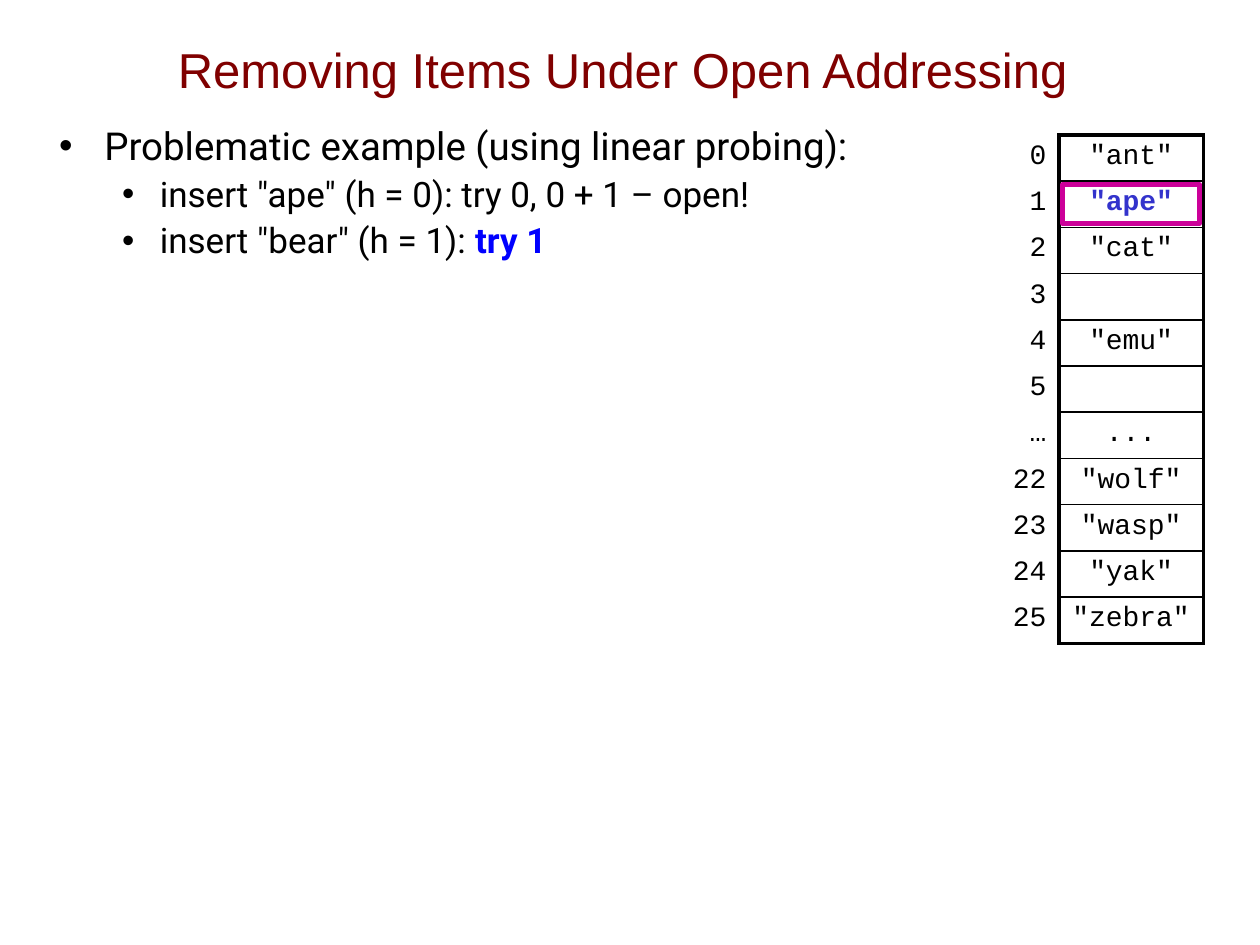
from lxml import etree
from pptx import Presentation
from pptx.dml.color import RGBColor
from pptx.enum.shapes import MSO_SHAPE
from pptx.enum.text import MSO_ANCHOR, PP_ALIGN
from pptx.oxml.ns import qn
from pptx.util import Inches, Pt

LEFT, CENTER, RIGHT = PP_ALIGN.LEFT, PP_ALIGN.CENTER, PP_ALIGN.RIGHT
MIDDLE = MSO_ANCHOR.MIDDLE
RECTANGLE = MSO_SHAPE.RECTANGLE
TITLE_ONLY = 5

COLORS = {
    "title": "800000",
    "text": "000000",
    "trial": "0000FF",
    "probed": "3333CC",
    "marker": "CC0099",
}
OUTER, INNER = 2.25, 1

STEPS = [
    (0, [("Problematic example (using linear probing):", False)]),
    (1, [('insert "ape" (h = 0): try 0, 0 + 1 – open!', False)]),
    (1, [('insert "bear" (h = 1): ', False), ("try 1", True)]),
]
SLOTS = [
    ("0", '"ant"'), ("1", '"ape"'), ("2", '"cat"'), ("3", ""),
    ("4", '"emu"'), ("5", ""), ("…", "..."), ("22", '"wolf"'),
    ("23", '"wasp"'), ("24", '"yak"'), ("25", '"zebra"'),
]
PROBED_ROW = 1


def add_span(para, text, font, size, color="text", bold=False):
    span = para.add_run()
    span.text = text
    span.font.name = font
    span.font.size = Pt(size)
    span.font.bold = bold
    span.font.color.rgb = RGBColor.from_string(COLORS[color])


def add_bullet(para, margin, hanging):
    """Give a paragraph a hanging bullet and the list's tab stops."""
    props = para._p.get_or_add_pPr()
    props.set("marL", str(Inches(margin)))
    props.set("indent", str(-Inches(hanging)))
    color = etree.SubElement(props, qn("a:buClr"))
    etree.SubElement(color, qn("a:srgbClr"), val=COLORS["text"])
    etree.SubElement(props, qn("a:buFont"), typeface="Arial")
    etree.SubElement(props, qn("a:buChar"), char="•")
    tabs = etree.SubElement(props, qn("a:tabLst"))
    for stop in (0.62, 0.87):
        etree.SubElement(tabs, qn("a:tab"), pos=str(Inches(stop)), algn="l")


def set_borders(cell, **widths):
    """Draw the named sides (L, R, T, B) in points and hide the others."""
    props = cell._tc.get_or_add_tcPr()
    for side in "LRTB":
        width = widths.get(side, 0)
        line = etree.SubElement(props, qn(f"a:ln{side}"), w=str(Pt(width)))
        if width:
            fill = etree.SubElement(line, qn("a:solidFill"))
            etree.SubElement(fill, qn("a:srgbClr"), val=COLORS["text"])
        else:
            etree.SubElement(line, qn("a:noFill"))


def fill_cell(cell, text, align, **style):
    cell.fill.background()
    para = cell.text_frame.paragraphs[0]
    para.alignment = align
    if text:
        add_span(para, text, "Courier New", 16, **style)
    else:
        para._p.get_or_add_endParaRPr().set("sz", "1600")


def add_title(page, left, top, width, height):
    title = page.shapes.title
    title.left, title.top = Inches(left), Inches(top)
    title.width, title.height = Inches(width), Inches(height)
    title.text_frame.vertical_anchor = MIDDLE
    para = title.text_frame.paragraphs[0]
    para.alignment = CENTER
    add_span(para, "Removing Items Under Open Addressing", "Arial", 28, "title")


def add_steps(page, left, top, width, height):
    box = page.shapes.add_textbox(
        Inches(left), Inches(top), Inches(width), Inches(height))
    frame = box.text_frame
    frame.word_wrap = True
    for index, (level, parts) in enumerate(STEPS):
        para = frame.add_paragraph() if index else frame.paragraphs[0]
        para.level = level
        para.alignment = LEFT
        if level:
            add_bullet(para, 0.8, 0.3)
            para.line_spacing = 0.9
            para.space_before = Pt(5)
        else:
            add_bullet(para, 0.36, 0.36)
        for text, trial in parts:
            add_span(para, text, "Roboto", 20 if level else 22,
                     color="trial" if trial else "text", bold=trial)


def add_hash_table(page, left, top, width, height):
    """Place the slot numbers and keys, and frame the probed slot."""
    last = len(SLOTS) - 1
    row_height = height / len(SLOTS)
    table = page.shapes.add_table(
        len(SLOTS), 2, Inches(left), Inches(top),
        Inches(width), Inches(height)).table
    table.first_row = table.horz_banding = False
    for column in table.columns:
        column.width = Inches(width / 2)
    for index, (slot, key) in enumerate(SLOTS):
        table.rows[index].height = Inches(row_height)
        number_cell, key_cell = table.cell(index, 0), table.cell(index, 1)
        set_borders(number_cell, R=OUTER)
        set_borders(key_cell, L=OUTER, R=OUTER,
                    T=INNER if index else OUTER,
                    B=INNER if index < last else OUTER)
        fill_cell(number_cell, slot, RIGHT)
        probed = index == PROBED_ROW
        fill_cell(key_cell, key, CENTER,
                  color="probed" if probed else "text", bold=probed)

    gap = 0.03
    marker = page.shapes.add_shape(
        RECTANGLE,
        Inches(left + width / 2 + gap),
        Inches(top + PROBED_ROW * row_height + gap),
        Inches(width / 2 - 2 * gap), Inches(row_height - 2 * gap))
    marker.shadow.inherit = False
    marker.fill.background()
    marker.line.color.rgb = RGBColor.from_string(COLORS["marker"])
    marker.line.width = Pt(3)


def main():
    deck = Presentation()
    deck.slide_width, deck.slide_height = Inches(10), Inches(7.5)
    page = deck.slides.add_slide(deck.slide_layouts[TITLE_ONLY])
    add_title(page, 0.64, 0.08, 8.6, 0.93)
    add_steps(page, 0.37, 0.92, 9.25, 6.14)
    add_hash_table(page, 7.26, 1.07, 2.29, 4.03)
    deck.save("out.pptx")


if __name__ == "__main__":
    main()
